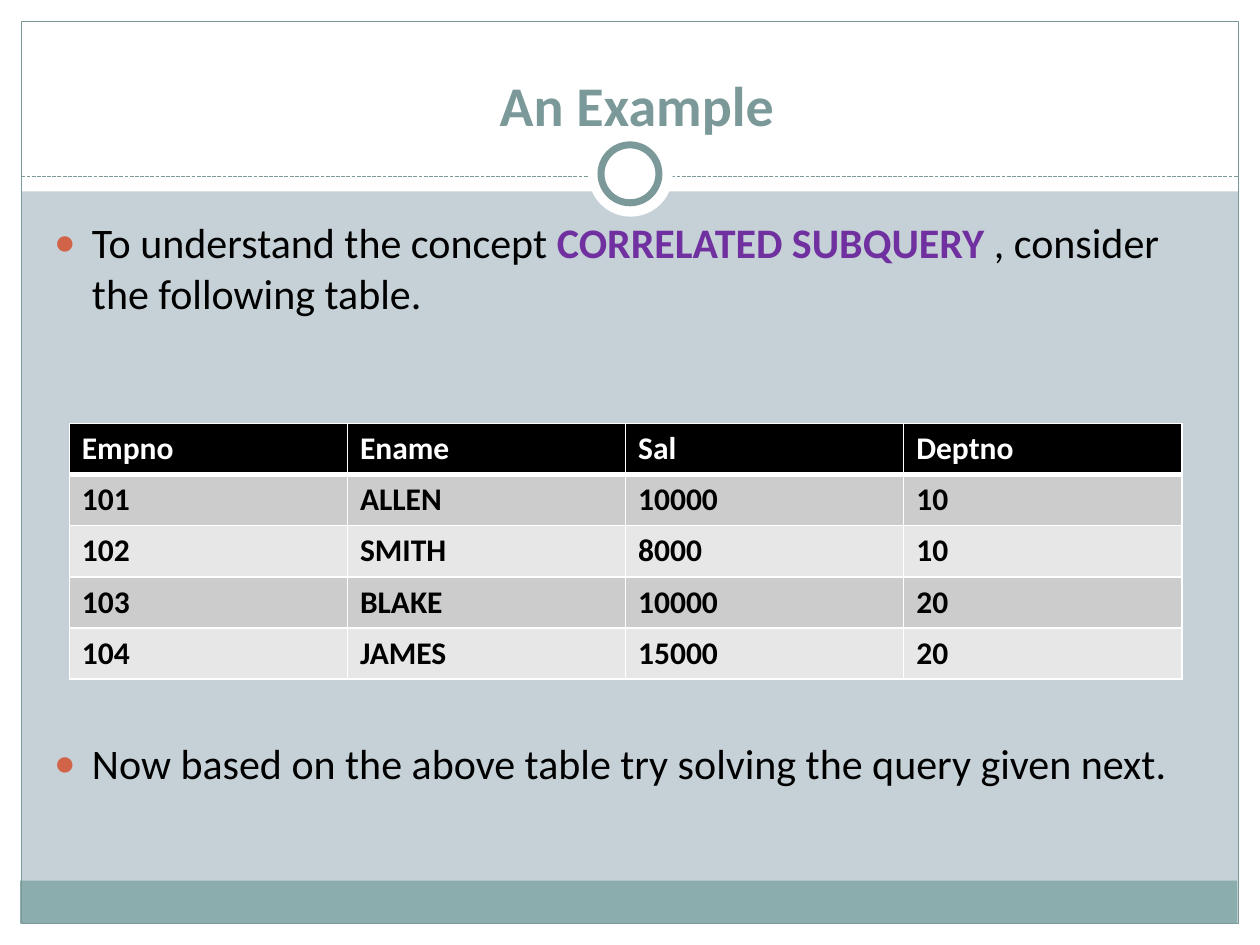
import dataclasses

import lxml.etree
import pptx
import pptx.dml.color
import pptx.enum.dml
import pptx.enum.shapes
import pptx.enum.text
import pptx.oxml.ns
import pptx.util

Inches = pptx.util.Inches
Pt = pptx.util.Pt
Shape = pptx.enum.shapes.MSO_SHAPE
Anchor = pptx.enum.text.MSO_ANCHOR


@dataclasses.dataclass(frozen=True)
class Theme:
    font: str = "Calibri"
    title_size: int = 32
    body_size: int = 24
    table_size: int = 18
    background: str = "C5D1D7"
    white: str = "FFFFFF"
    black: str = "000000"
    accent: str = "7C999A"
    footer: str = "8CADAE"
    bullet: str = "D16349"
    keyword: str = "7030A0"
    bands: tuple = ("CCCCCC", "E7E7E7")


def rgb(color):
    return pptx.dml.color.RGBColor.from_string(color)


def add_element(parent, tag, **attributes):
    return lxml.etree.SubElement(parent, pptx.oxml.ns.qn(tag), attributes)


class SlideBuilder:
    """Holds the theme and the slide being built."""

    def __init__(self, slide, theme):
        self.slide = slide
        self.theme = theme
        slide.background.fill.solid()
        slide.background.fill.fore_color.rgb = rgb(theme.background)

    def set_font(self, paragraph, size, color, bold=False):
        font = paragraph.font
        font.name = self.theme.font
        font.size = Pt(size)
        font.bold = bold
        font.color.rgb = rgb(color)

    def shape(self, kind, left, top, width, height, fill=None, line=None, line_width=0.75):
        shape = self.slide.shapes.add_shape(
            kind, Inches(left), Inches(top), Inches(width), Inches(height))
        shape.shadow.inherit = False
        if fill:
            shape.fill.solid()
            shape.fill.fore_color.rgb = rgb(fill)
        else:
            shape.fill.background()
        if line:
            shape.line.color.rgb = rgb(line)
            shape.line.width = Pt(line_width)
        else:
            shape.line.fill.background()

    def dashed_line(self, left, right, y):
        connector = self.slide.shapes.add_connector(
            pptx.enum.shapes.MSO_CONNECTOR.STRAIGHT,
            Inches(left), Inches(y), Inches(right), Inches(y))
        connector.line.color.rgb = rgb(self.theme.accent)
        connector.line.width = Pt(0.75)
        connector.line.dash_style = pptx.enum.dml.MSO_LINE.SQUARE_DOT
        add_element(connector.element.spPr, "a:effectLst")

    def place(self, placeholder, left, top, width, height, anchor):
        """Moves a placeholder into position, in front of the shapes drawn so far."""
        placeholder.left, placeholder.top = Inches(left), Inches(top)
        placeholder.width, placeholder.height = Inches(width), Inches(height)
        self.slide.shapes.element.append(placeholder.element)
        frame = placeholder.text_frame
        frame.word_wrap = True
        frame.auto_size = pptx.enum.text.MSO_AUTO_SIZE.NONE
        frame.vertical_anchor = anchor
        return frame

    def title(self, text, *box):
        frame = self.place(self.slide.shapes.title, *box, Anchor.BOTTOM)
        paragraph = frame.paragraphs[0]
        paragraph.text = text
        paragraph.alignment = pptx.enum.text.PP_ALIGN.CENTER
        self.set_font(paragraph, self.theme.title_size, self.theme.accent, bold=True)

    def bullets(self, items, gap, *box):
        """Fills the body; each item is a list of (text, is_keyword) pairs."""
        frame = self.place(self.slide.placeholders[1], *box, Anchor.TOP)
        for index, item in enumerate(items):
            paragraph = frame.add_paragraph() if index else frame.paragraphs[0]
            self.add_bullet(paragraph)
            paragraph.space_before = Pt(gap if index else 0)
            self.set_font(paragraph, self.theme.body_size, self.theme.black)
            for text, is_keyword in item:
                run = paragraph.add_run()
                run.text = text
                if is_keyword:
                    run.font.bold = True
                    run.font.color.rgb = rgb(self.theme.keyword)

    def add_bullet(self, paragraph):
        properties = paragraph._p.get_or_add_pPr()
        properties.set("marL", str(Inches(0.3)))
        properties.set("indent", str(Inches(-0.3)))
        color = add_element(properties, "a:buClr")
        add_element(color, "a:srgbClr", val=self.theme.bullet)
        add_element(properties, "a:buSzPct", val="85000")
        add_element(properties, "a:buChar", char="●")

    def table(self, rows, left, top, width, height):
        table = self.slide.shapes.add_table(
            len(rows), len(rows[0]),
            Inches(left), Inches(top), Inches(width), Inches(height)).table
        for row_index, row in enumerate(rows):
            is_header = row_index == 0
            fill = self.theme.black if is_header else self.theme.bands[(row_index - 1) % 2]
            color = self.theme.white if is_header else self.theme.black
            for column_index, text in enumerate(row):
                cell = table.cell(row_index, column_index)
                self.add_borders(cell, top=3 if row_index == 1 else 1,
                                 bottom=3 if is_header else 1)
                cell.fill.solid()
                cell.fill.fore_color.rgb = rgb(fill)
                paragraph = cell.text_frame.paragraphs[0]
                paragraph.text = text
                self.set_font(paragraph, self.theme.table_size, color, bold=True)

    def add_borders(self, cell, top, bottom):
        properties = cell._tc.get_or_add_tcPr()
        for side, width in (("L", 1), ("R", 1), ("T", top), ("B", bottom)):
            border = add_element(properties, f"a:ln{side}", w=str(Pt(width)))
            fill = add_element(border, "a:solidFill")
            add_element(fill, "a:srgbClr", val=self.theme.white)

    def frame(self):
        """Draws the white margins, footer band, outline and ring."""
        theme = self.theme
        margins = ((0, 7.33, 10, 0.17), (0, 0, 10, 1.52),
                   (0, 0, 0.17, 7.5), (9.83, 0, 0.17, 7.5))
        for margin in margins:
            self.shape(Shape.RECTANGLE, *margin, fill=theme.white)
        self.shape(Shape.RECTANGLE, 0.16, 6.99, 9.66, 0.34, fill=theme.footer)
        self.shape(Shape.RECTANGLE, 0.17, 0.17, 9.66, 7.16, line=theme.accent)
        self.dashed_line(0.17, 9.83, 1.4)
        self.shape(Shape.OVAL, 4.67, 1.05, 0.67, 0.67, fill=theme.white)
        self.shape(Shape.OVAL, 4.77, 1.15, 0.46, 0.46,
                   fill=theme.white, line=theme.accent, line_width=4)


def main():
    presentation = pptx.Presentation()
    presentation.slide_width = Inches(10)
    presentation.slide_height = Inches(7.5)
    slide = presentation.slides.add_slide(presentation.slide_layouts[1])
    builder = SlideBuilder(slide, Theme())
    builder.frame()
    builder.title("An Example", 0.39, 0.31, 9.33, 0.83)
    builder.bullets([
        [("To understand the concept ", False), ("CORRELATED SUBQUERY ", True),
         (", consider the following table.", False)],
        [("Now based on the above table try solving the query given next.", False)],
    ], 240, 0.33, 1.67, 9.3, 5.31)
    builder.table([
        ("Empno", "Ename", "Sal", "Deptno"),
        ("101", "ALLEN", "10000", "10"),
        ("102", "SMITH", "8000", "10"),
        ("103", "BLAKE", "10000", "20"),
        ("104", "JAMES", "15000", "20"),
    ], 0.55, 3.36, 8.83, 2.03)
    presentation.save("out.pptx")


if __name__ == "__main__":
    main()
